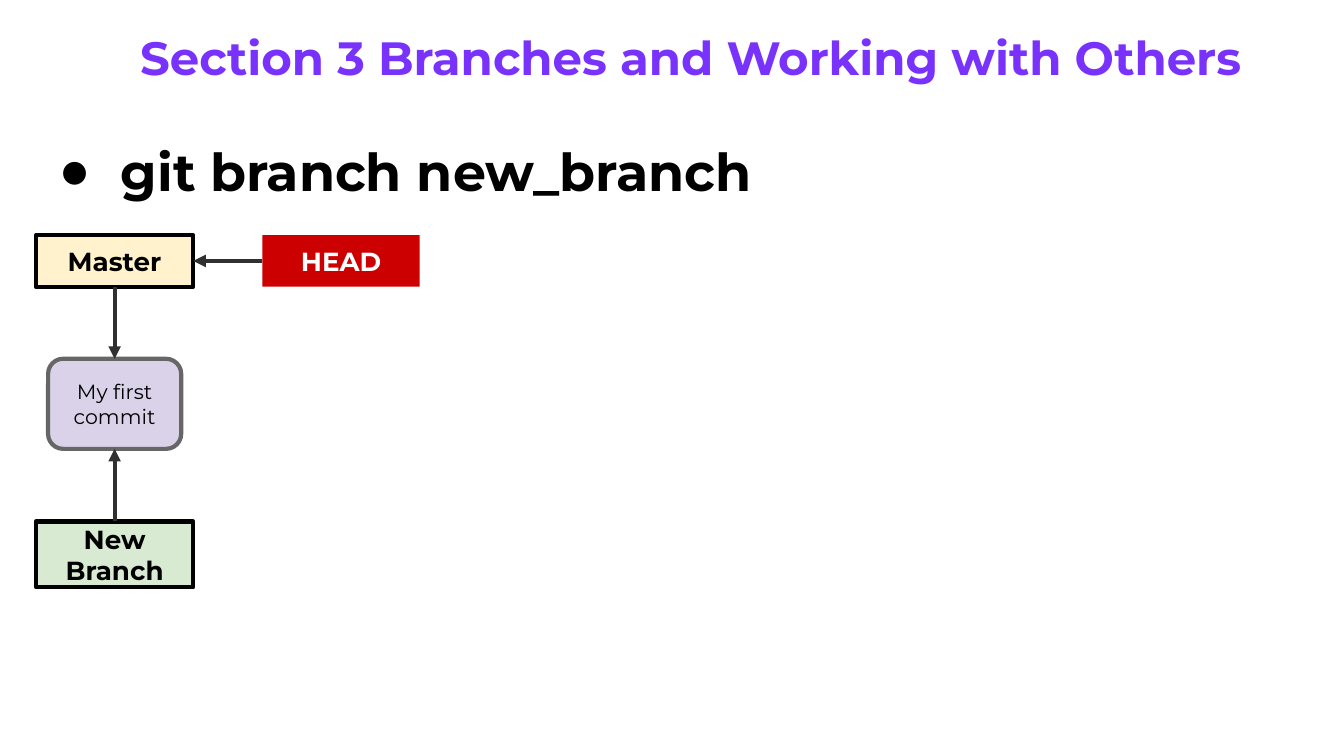
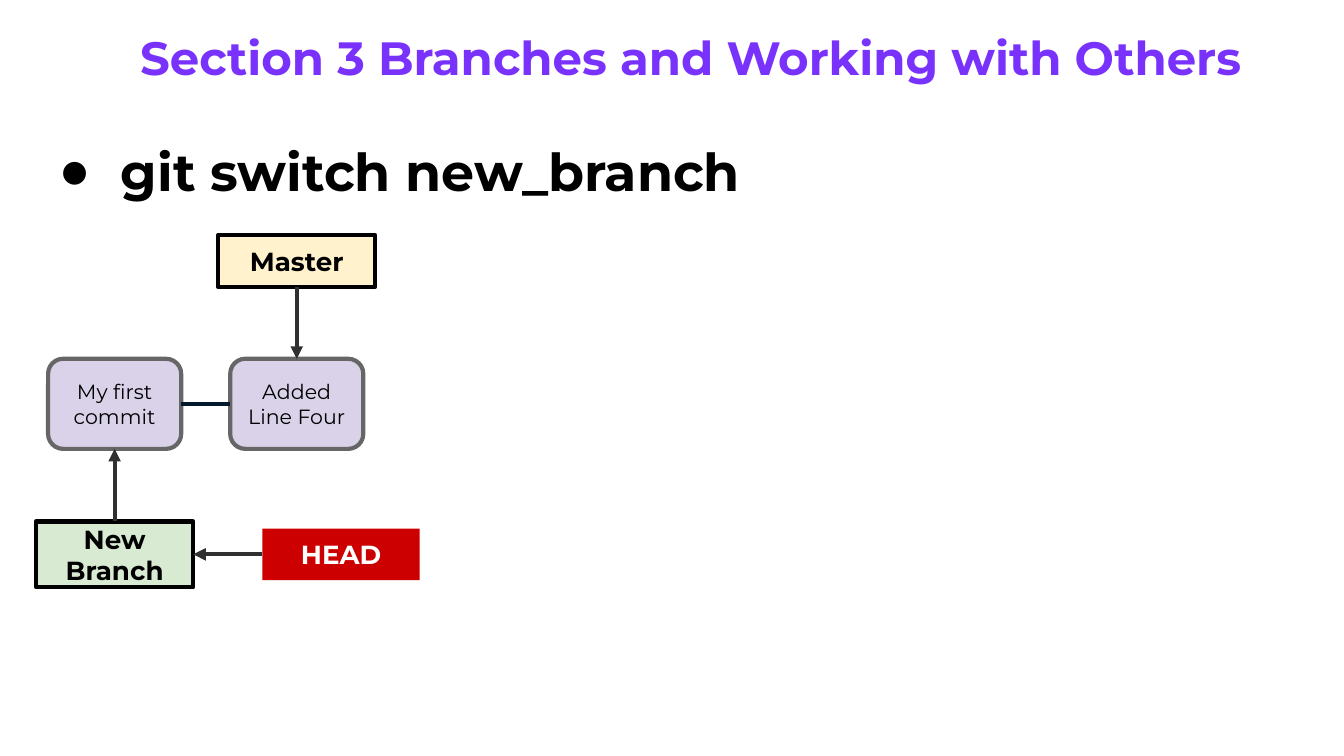
from dataclasses import dataclass

from pptx import Presentation
from pptx.dml.color import RGBColor
from pptx.enum.shapes import MSO_CONNECTOR as Link, MSO_SHAPE as Preset
from pptx.enum.text import MSO_ANCHOR as Anchor, MSO_AUTO_SIZE as AutoSize, PP_ALIGN as Align
from pptx.oxml.ns import qn
from pptx.util import Inches, Pt
from lxml.etree import SubElement

SLIDE_WIDTH = Inches(10)
SLIDE_HEIGHT = SLIDE_WIDTH * 9 // 16
CELL = SLIDE_WIDTH / 100  # the page grid is 100 columns of square cells
TOP, LEFT, BOTTOM, RIGHT = range(4)  # connection sites of a rectangle


@dataclass(frozen=True)
class Theme:
    font: str = "Montserrat"
    title: str = "7932FC"
    ink: str = "000000"
    paper: str = "FFFFFF"
    master: str = "FFF2CC"
    branch: str = "D9EAD3"
    head: str = "CC0000"
    commit: str = "D9D2E9"
    commit_edge: str = "666666"
    arrow: str = "303030"
    history: str = "05192D"
    title_size: int = 25
    command_size: int = 28
    label_size: int = 14
    commit_size: int = 11
    bullet_percent: int = 57
    line_width: float = 2.25


@dataclass(frozen=True)
class Box:
    """A rectangle in grid cells."""
    left: float
    top: float
    width: float
    height: float

    def inner(self, left, top, width, height):
        return Box(self.left + left, self.top + top, width, height)

    def lengths(self):
        return [round(cells * CELL) for cells in (self.left, self.top, self.width, self.height)]


THEME = Theme()
TITLE_BOX = Box(9.45, 1.15, 84, 10.4)
COMMAND_BOX = Box(3, 9.35, 92.5, 6.7)
DIAGRAM_BOX = Box(2.68, 17.5, 28.5, 26.2)

# Diagram grid, in cells
COLUMN_PITCH = 13.55
LABEL_WIDTH, LABEL_HEIGHT, BRANCH_HEIGHT = 11.7, 3.84, 4.9
COMMIT_WIDTH, COMMIT_HEIGHT = 9.9, 6.7
COMMIT_ROW, BRANCH_ROW = 9.2, 21.3
HEAD_LEFT = 16.85


def color(value):
    return RGBColor.from_string(value)


def add_text(frame, lines, size, ink, bold=True, align=None):
    frame.word_wrap = True
    frame.margin_left = frame.margin_right = Inches(0.1)
    frame.margin_top = frame.margin_bottom = Inches(0.1)
    for index, line in enumerate(lines):
        para = frame.add_paragraph() if index else frame.paragraphs[0]
        para.alignment = align
        span = para.add_run()
        span.text = line
        span.font.name = THEME.font
        span.font.size = Pt(size)
        span.font.bold = bold
        span.font.color.rgb = color(ink)


def style_line(line, ink):
    line.width = Pt(THEME.line_width)
    line.color.rgb = color(ink)
    return line._get_or_add_ln()


# Text regions
def text_region(page, box, line, size, ink):
    frame = page.shapes.add_textbox(*box.lengths()).text_frame
    add_text(frame, [line], size, ink)
    frame.auto_size = AutoSize.SHAPE_TO_FIT_TEXT
    return frame


def command_region(page, box, command):
    frame = text_region(page, box, command, THEME.command_size, THEME.ink)
    bullet = frame.paragraphs[0]._p.get_or_add_pPr()
    bullet.set("marL", str(Inches(0.5)))
    bullet.set("indent", str(Inches(-0.44)))
    SubElement(SubElement(bullet, qn("a:buClr")), qn("a:srgbClr"), val=THEME.ink)
    SubElement(bullet, qn("a:buSzPct"), val=str(THEME.bullet_percent * 1000))
    SubElement(bullet, qn("a:buFont"), typeface=THEME.font)
    SubElement(bullet, qn("a:buChar"), char="●")


# Diagram parts
def add_node(page, box, lines, fill, edge=None, preset=Preset.RECTANGLE,
             size=THEME.label_size, ink=THEME.ink, bold=True):
    node = page.shapes.add_shape(preset, *box.lengths())
    node.shadow.inherit = False
    node.fill.solid()
    node.fill.fore_color.rgb = color(fill)
    if edge:
        SubElement(style_line(node.line, edge), qn("a:round"))
    else:
        node.line.fill.background()
    node.text_frame.vertical_anchor = Anchor.MIDDLE
    add_text(node.text_frame, lines, size, ink, bold, Align.CENTER)
    return node


def add_commit(page, box, column, lines):
    left = column * COLUMN_PITCH + (LABEL_WIDTH - COMMIT_WIDTH) / 2
    return add_node(page, box.inner(left, COMMIT_ROW, COMMIT_WIDTH, COMMIT_HEIGHT), lines,
                    THEME.commit, THEME.commit_edge, Preset.ROUNDED_RECTANGLE,
                    THEME.commit_size, bold=False)


def add_link(page, start, start_site, end, end_site, ink=THEME.arrow,
             kind=Link.STRAIGHT, arrow=True):
    link = page.shapes.add_connector(kind, 0, 0, 0, 0)
    link.begin_connect(start, start_site)
    link.end_connect(end, end_site)
    line = style_line(link.line, ink)
    if arrow:
        SubElement(line, qn("a:tailEnd"), type="triangle")
    SubElement(link._element.spPr, qn("a:effectLst"))


def diagram_region(page, box, commits, head_on_branch):
    """Master points at the last commit, the new branch at the first."""
    nodes = [add_commit(page, box, column, lines) for column, lines in enumerate(commits)]
    last_column = len(nodes) - 1
    master = add_node(page, box.inner(last_column * COLUMN_PITCH, 0, LABEL_WIDTH, LABEL_HEIGHT),
                      ["Master"], THEME.master, THEME.ink)
    branch = add_node(page, box.inner(0, BRANCH_ROW, LABEL_WIDTH, BRANCH_HEIGHT),
                      ["New Branch"], THEME.branch, THEME.ink)

    # HEAD is level with the label it points at
    head_top = BRANCH_ROW + (BRANCH_HEIGHT - LABEL_HEIGHT) / 2 if head_on_branch else 0
    head = add_node(page, box.inner(HEAD_LEFT, head_top, LABEL_WIDTH, LABEL_HEIGHT),
                    ["HEAD"], THEME.head, ink=THEME.paper)

    add_link(page, head, LEFT, branch if head_on_branch else master, RIGHT)
    add_link(page, master, BOTTOM, nodes[-1], TOP)
    add_link(page, branch, TOP, nodes[0], BOTTOM)
    for earlier, later in zip(nodes, nodes[1:]):
        add_link(page, earlier, RIGHT, later, LEFT, THEME.history, Link.ELBOW, arrow=False)


def branch_slide(deck, command, commits, head_on_branch):
    page = deck.slides.add_slide(deck.slide_layouts[6])
    page.background.fill.solid()
    page.background.fill.fore_color.rgb = color(THEME.paper)
    command_region(page, COMMAND_BOX, command)
    text_region(page, TITLE_BOX, "Section 3 Branches and Working with Others",
                THEME.title_size, THEME.title)
    diagram_region(page, DIAGRAM_BOX, commits, head_on_branch)


def main():
    deck = Presentation()
    deck.slide_width, deck.slide_height = SLIDE_WIDTH, SLIDE_HEIGHT
    first, second = ["My first commit"], ["Added", "Line Four"]
    branch_slide(deck, "git branch new_branch", [first], head_on_branch=False)
    branch_slide(deck, "git switch new_branch", [first, second], head_on_branch=True)
    deck.save("out.pptx")


if __name__ == "__main__":
    main()
